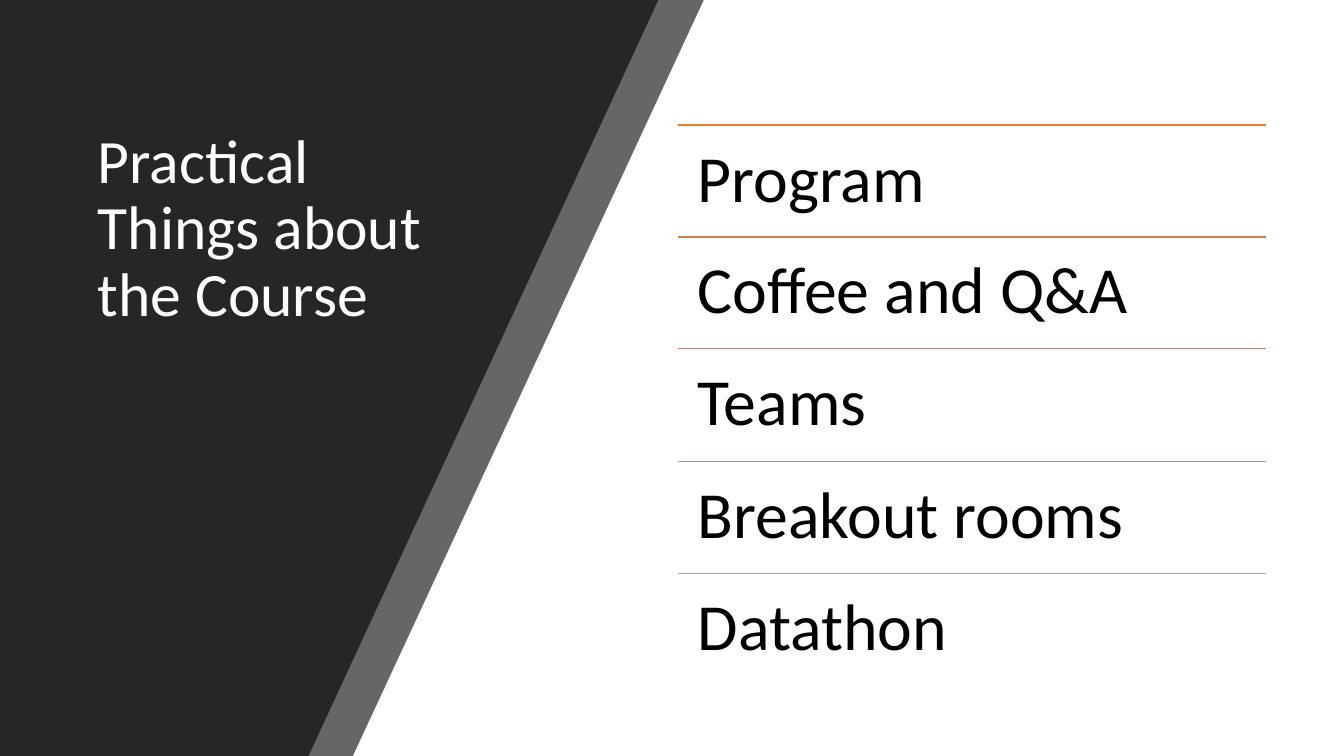
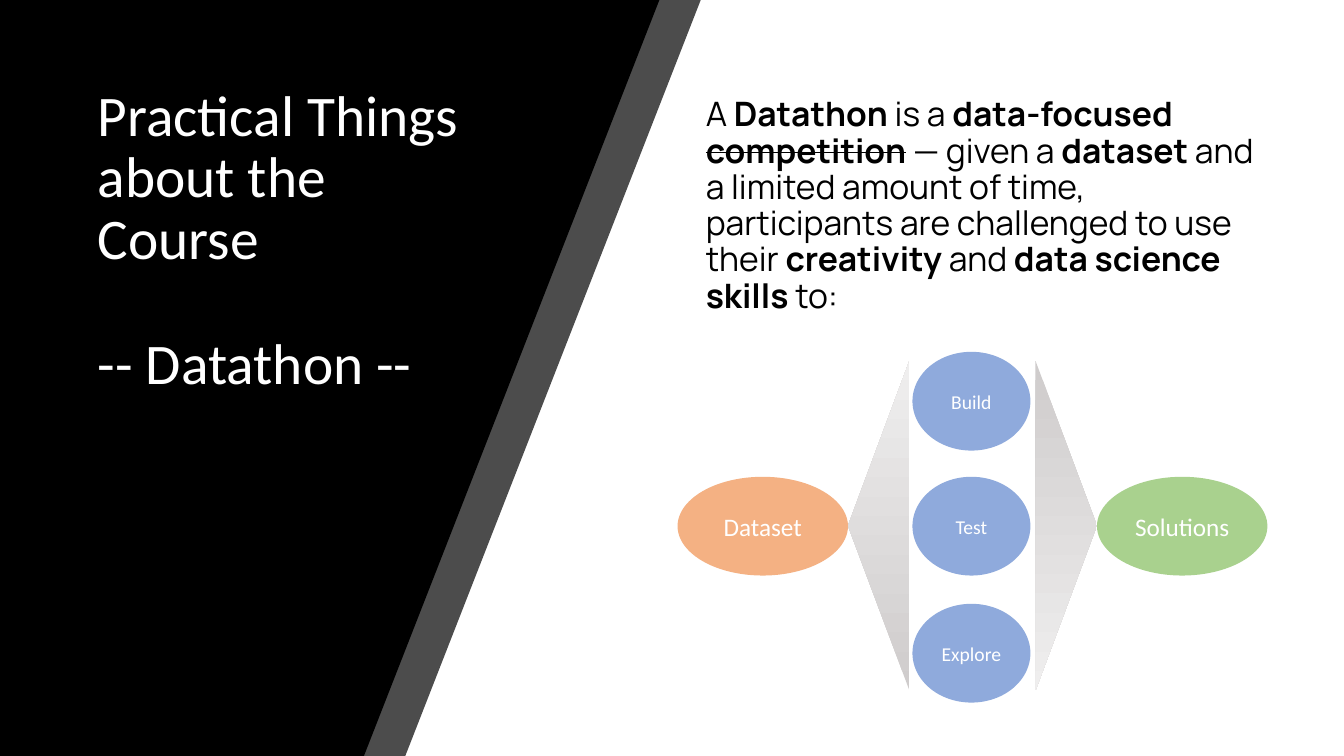
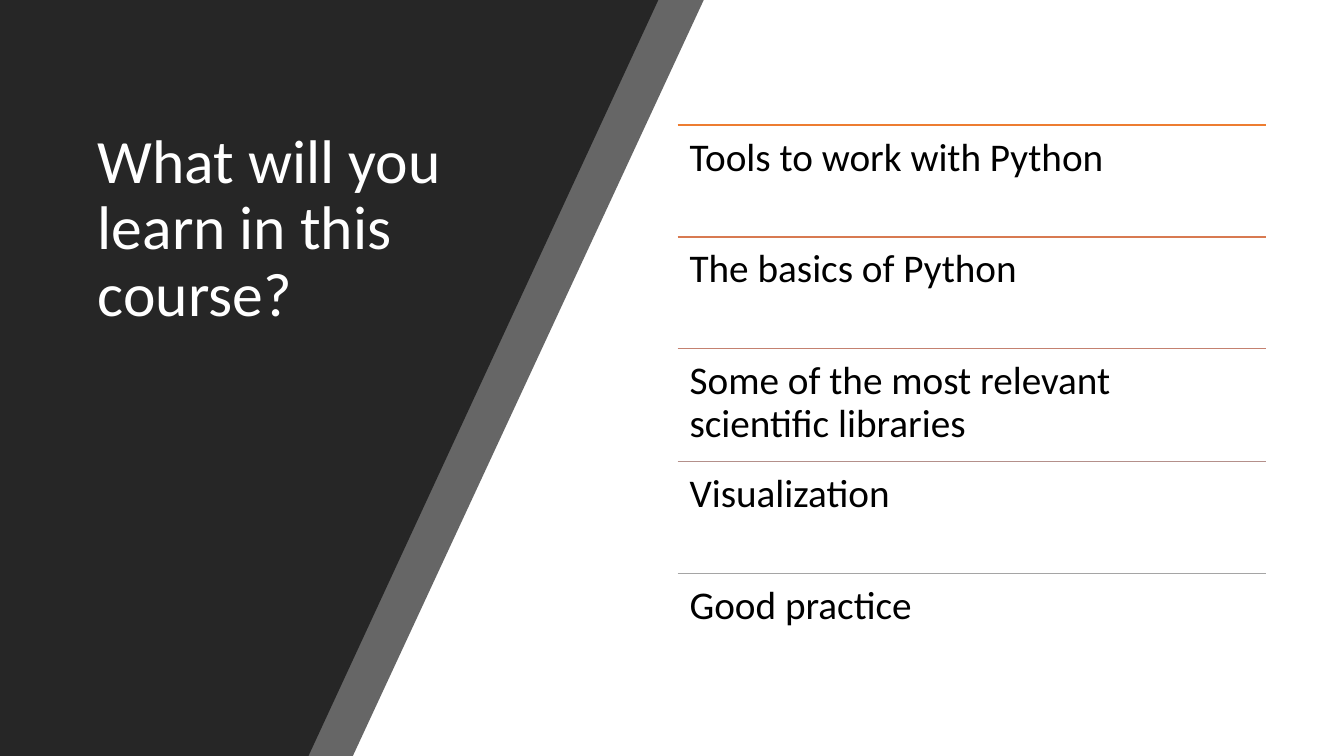
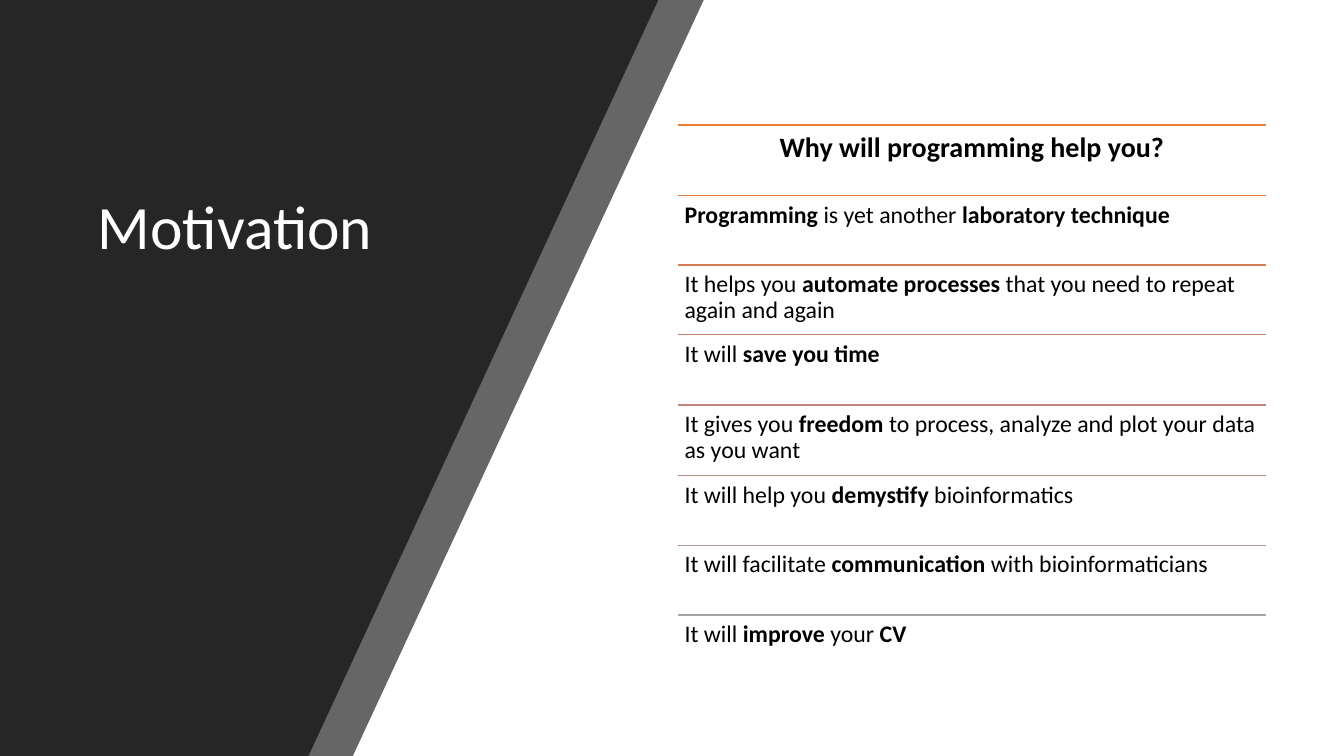
"""Build the four course introduction slides."""
import colorsys
from dataclasses import dataclass

from lxml import etree
from pptx import Presentation
from pptx import util as u
from pptx.dml.color import RGBColor
from pptx.enum import shapes, text
from pptx.oxml.ns import qn

PX = 9144
SLIDE_W, SLIDE_H = 1333, 750
LIST_LEFT, LIST_TOP, LIST_W, LIST_H = 672, 124, 584, 556
WHITE = RGBColor(0xFF, 0xFF, 0xFF)
BLACK = RGBColor(0x00, 0x00, 0x00)
CHARCOAL = RGBColor(0x26, 0x26, 0x26)
ORANGE = RGBColor(0xED, 0x7D, 0x31)
GRAY = RGBColor(0xA5, 0xA5, 0xA5)
PEACH = RGBColor(0xF4, 0xB1, 0x83)
BLUE = RGBColor(0x8F, 0xAA, 0xDC)
GREEN = RGBColor(0xA9, 0xD1, 0x8E)
SHADE_DARK = RGBColor(0xCF, 0xCC, 0xCC)
SHADE_LIGHT = RGBColor(0xEF, 0xEE, 0xEE)
FONT = "Calibri"
BODY_FONT = "Manrope"


@dataclass(frozen=True)
class Box:
    left: int
    top: int
    width: int
    height: int

    def emu(self) -> tuple:
        return tuple(u.Emu(v * PX) for v in (self.left, self.top, self.width, self.height))


@dataclass(frozen=True)
class Span:
    text: str
    bold: bool = False
    strike: bool = False


@dataclass(frozen=True)
class Row:
    spans: tuple
    size: int
    inset: int
    centred: bool = False


@dataclass(frozen=True)
class Panel:
    color: RGBColor
    front: tuple
    back: tuple
    title_box: Box
    title_size: int


@dataclass(frozen=True)
class Bubble:
    label: str
    box: Box
    color: RGBColor
    size: int


@dataclass(frozen=True)
class Fan:
    box: Box
    rotation: int


DARK_PANEL = Panel(CHARCOAL, (653, 306), (698, 350), Box(92, 48, 358, 360), 44)
BLACK_PANEL = Panel(BLACK, (654, 361), (695, 402), Box(92, 77, 386, 326), 41)

PROGRAM = ("Program", "Coffee and Q&A", "Teams", "Breakout rooms", "Datathon")
LESSONS = (
    "Tools to work with Python",
    "The basics of Python",
    "Some of the most relevant scientific libraries",
    "Visualization",
    "Good practice",
)
REASONS_HEADING = "Why will programming help you?"
REASONS = (
    (Span("Programming", True), Span(" is yet another "), Span("laboratory technique", True)),
    (Span("It helps you "), Span("automate processes ", True),
     Span("that you need to repeat again and again")),
    (Span("It will "), Span("save you time", True)),
    (Span("It gives you "), Span("freedom", True),
     Span(" to process, analyze and plot your data as you want")),
    (Span("It will help you "), Span("demystify", True), Span(" bioinformatics")),
    (Span("It will facilitate "), Span("communication", True), Span(" with bioinformaticians")),
    (Span("It will "), Span("improve", True), Span(" your "), Span("CV", True)),
)
DATATHON = (
    Span("A "), Span("Datathon", True), Span(" is a "), Span("data-focused ", True),
    Span("competition", True, True), Span(" — given a "), Span("dataset", True),
    Span(" and a limited amount of time, participants are challenged to use their "),
    Span("creativity", True), Span(" and "), Span("data science skills ", True), Span("to:"),
)
BUBBLES = (
    Bubble("Dataset", Box(672, 473, 169, 98), PEACH, 18),
    *(Bubble(label, Box(905, top, 117, 98), BLUE, 14)
      for label, top in (("Build", 349), ("Test", 473), ("Explore", 599))),
    Bubble("Solutions", Box(1088, 473, 169, 98), GREEN, 18),
)
FANS = (Fan(Box(708, 491, 327, 61), 270), Fan(Box(894, 491, 327, 61), 90))


def set_frame(frame, inset: int, anchor=text.MSO_ANCHOR.TOP, wrap: bool = True) -> None:
    frame.word_wrap = wrap
    frame.auto_size = text.MSO_AUTO_SIZE.NONE
    frame.vertical_anchor = anchor
    frame.margin_left = frame.margin_right = u.Emu(inset * PX)
    frame.margin_top = frame.margin_bottom = u.Emu(inset * PX)


def set_font(font, size: int, color: RGBColor, name: str = FONT) -> None:
    font.name, font.size = name, u.Pt(size)
    font.color.rgb = color


def add_spans(paragraph, spans: tuple, size: int, name: str = FONT) -> None:
    paragraph.line_spacing = 0.9
    for span in spans:
        run = paragraph.add_run()
        run.text = span.text
        set_font(run.font, size, BLACK, name)
        run.font.bold = span.bold
        if span.strike:
            run.font._element.set("strike", "sngStrike")


def add_wedge(slide, edge: tuple, color: RGBColor, opacity: int = 100) -> None:
    top_edge, bottom_edge = edge
    builder = slide.shapes.build_freeform(0, 0, scale=float(PX))
    builder.add_line_segments([(top_edge, 0), (bottom_edge, SLIDE_H), (0, SLIDE_H)], close=True)
    wedge = builder.convert_to_shape()
    wedge.shadow.inherit = False
    wedge.line.fill.background()
    wedge.fill.solid()
    wedge.fill.fore_color.rgb = color
    if opacity < 100:
        tint = wedge._element.spPr.find(qn("a:solidFill"))[0]
        etree.SubElement(tint, qn("a:alpha"), val=str(opacity * 1000))


def add_panel_slide(deck, panel: Panel, *lines: str):
    slide = deck.slides.add_slide(deck.slide_layouts[5])
    add_wedge(slide, panel.back, panel.color, 70)
    add_wedge(slide, panel.front, panel.color)
    title = slide.shapes.title
    slide.shapes._spTree.append(title._element)
    title.left, title.top, title.width, title.height = panel.title_box.emu()
    title.text_frame.text = "\n".join(lines)
    set_frame(title.text_frame, 5, text.MSO_ANCHOR.MIDDLE)
    for index, paragraph in enumerate(title.text_frame.paragraphs):
        paragraph.alignment = text.PP_ALIGN.LEFT
        paragraph.line_spacing = 0.9
        paragraph.space_before = u.Pt(45 if index else 0)
        for run in paragraph.runs:
            set_font(run.font, panel.title_size, WHITE)
    return slide


def blend(share: float) -> RGBColor:
    start, end = (colorsys.rgb_to_hls(*(part / 255 for part in color)) for color in (ORANGE, GRAY))
    mixed = (a + (b - a) * share for a, b in zip(start, end))
    return RGBColor(*(round(part * 255) for part in colorsys.hls_to_rgb(*mixed)))


def add_rule(slide, top: int, color: RGBColor) -> None:
    left, y, width, _ = Box(LIST_LEFT, top, LIST_W, 0).emu()
    rule = slide.shapes.add_connector(shapes.MSO_CONNECTOR.STRAIGHT, left, y, left + width, y)
    rule.line.color.rgb = color
    rule.line.width = u.Pt(1)
    etree.SubElement(rule._element.spPr, qn("a:effectLst"))


def add_ruled_list(slide, rows: list) -> None:
    step = LIST_H / len(rows)
    for index, row in enumerate(rows):
        top = round(LIST_TOP + index * step)
        add_rule(slide, top, blend(index / (len(rows) - 1)))
        entry = slide.shapes.add_textbox(*Box(LIST_LEFT, top, LIST_W, round(step)).emu())
        set_frame(entry.text_frame, row.inset)
        paragraph = entry.text_frame.paragraphs[0]
        paragraph.alignment = text.PP_ALIGN.CENTER if row.centred else text.PP_ALIGN.LEFT
        add_spans(paragraph, row.spans, row.size)


def add_bubble(slide, bubble: Bubble) -> None:
    oval = slide.shapes.add_shape(shapes.MSO_SHAPE.OVAL, *bubble.box.emu())
    oval.shadow.inherit = False
    oval.fill.solid()
    oval.fill.fore_color.rgb = bubble.color
    oval.line.fill.background()
    oval.text_frame.text = bubble.label
    set_frame(oval.text_frame, 5, text.MSO_ANCHOR.MIDDLE, wrap=False)
    paragraph = oval.text_frame.paragraphs[0]
    paragraph.alignment = text.PP_ALIGN.CENTER
    set_font(paragraph.runs[0].font, bubble.size, WHITE)


def add_fan(slide, fan: Fan) -> None:
    wing = slide.shapes.add_shape(shapes.MSO_SHAPE.ISOSCELES_TRIANGLE, *fan.box.emu())
    wing.rotation = fan.rotation
    wing.shadow.inherit = False
    wing.line.fill.background()
    wing.fill.gradient()
    wing.fill.gradient_angle = 0
    for stop, color in zip(wing.fill.gradient_stops, (SHADE_DARK, SHADE_LIGHT)):
        stop.color.rgb = color


def add_datathon(slide) -> None:
    intro = slide.shapes.add_textbox(*Box(695, 60, 562, 290).emu())
    set_frame(intro.text_frame, 5, text.MSO_ANCHOR.MIDDLE)
    add_spans(intro.text_frame.paragraphs[0], DATATHON, 24, BODY_FONT)
    for bubble in BUBBLES:
        add_bubble(slide, bubble)
    for fan in FANS:
        add_fan(slide, fan)


def main() -> None:
    deck = Presentation()
    deck.slide_width, deck.slide_height = u.Emu(SLIDE_W * PX), u.Emu(SLIDE_H * PX)

    program = add_panel_slide(deck, DARK_PANEL, "Practical Things about the Course")
    add_ruled_list(program, [Row((Span(topic),), 47, 20) for topic in PROGRAM])

    datathon = add_panel_slide(
        deck, BLACK_PANEL, "Practical Things about the Course", "-- Datathon --")
    add_datathon(datathon)

    lessons = add_panel_slide(deck, DARK_PANEL, "What will you learn in this course?")
    add_ruled_list(lessons, [Row((Span(topic),), 28, 12) for topic in LESSONS])

    motivation = add_panel_slide(deck, DARK_PANEL, "Motivation")
    heading = Row((Span(REASONS_HEADING, True),), 20, 8, centred=True)
    add_ruled_list(motivation, [heading, *(Row(reason, 17, 7) for reason in REASONS)])

    deck.save("out.pptx")


if __name__ == "__main__":
    main()
